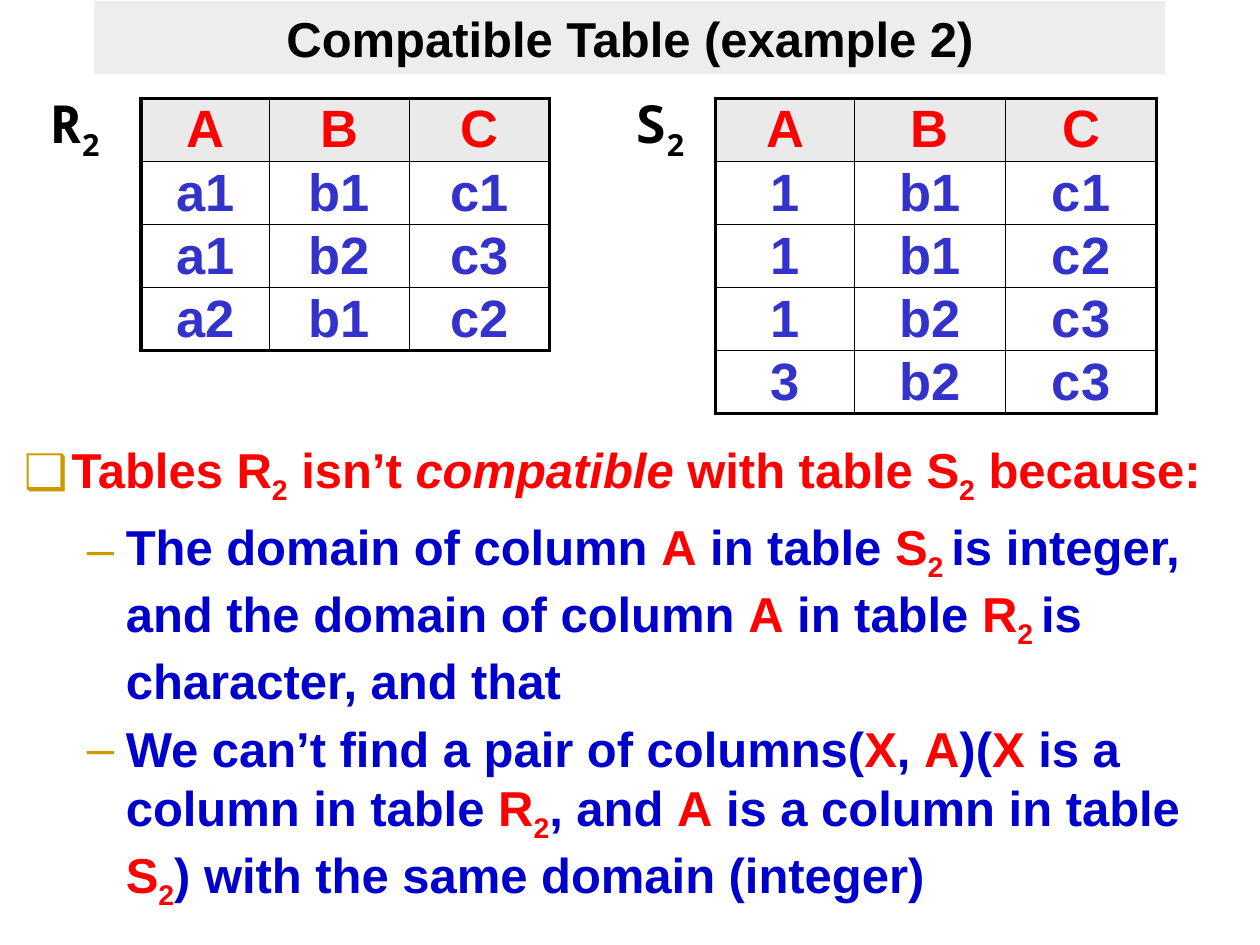
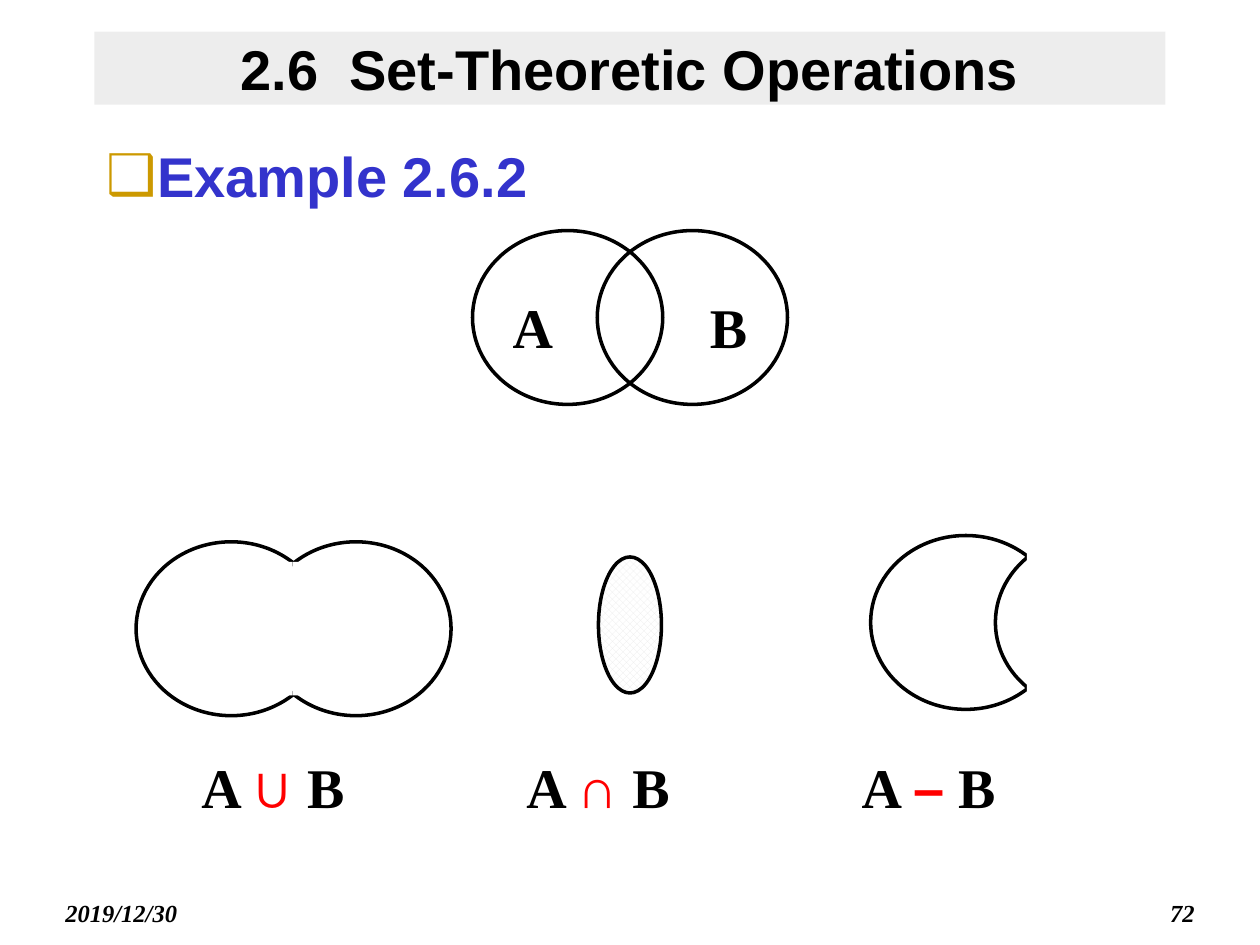
from lxml import etree
from pptx import Presentation
from pptx.dml.color import RGBColor
from pptx.enum import dml, shapes, text
from pptx.oxml.ns import qn
from pptx.util import Inches, Pt

BLACK, WHITE, RED = "000000", "FFFFFF", "FF0000"
BLUE, NAVY, GOLD = "3333CC", "0000CC", "CC9900"
BAND, HEADER, PATTERN = "DDDDDD", "EAEAEA", "EAEAEA"
SANS, SERIF, MONO = "Arial", "Times New Roman", "Noto Sans Mono"
LEFT, CENTER, RIGHT = text.PP_ALIGN.LEFT, text.PP_ALIGN.CENTER, text.PP_ALIGN.RIGHT
RECTANGLE, OVAL = shapes.MSO_SHAPE.RECTANGLE, shapes.MSO_SHAPE.OVAL

# Bullet levels: character, left margin, hanging indent
SQUARE = ("❑", 0.38, -0.38)
DASH = ("–", 0.81, -0.31)

# Table name, label left, table left, column widths, rows
TABLES = [
    ("R", 0.3, 1.12, (1.02, 1.11, 1.11),
     ["A B C", "a1 b1 c1", "a1 b2 c3", "a2 b1 c2"]),
    ("S", 4.94, 5.68, (1.1, 1.2, 1.2),
     ["A B C", "1 b1 c1", "1 b1 c2", "1 b2 c3", "3 b2 c3"]),
]
TABLE_TOP, ROW_HEIGHT = 0.78, 0.5

# Runs: text, colour, optional style
REASONS = [
    (SQUARE, [("Tables R", RED), ("2", RED, "sub"), (" isn’t ", RED),
              ("compatible", RED, "italic"), (" with table S", RED),
              ("2", RED, "sub"), (" because:", RED)]),
    (DASH, [("The domain of column ", NAVY), ("A", RED), (" in table ", NAVY),
            ("S", RED), ("2 ", RED, "sub"),
            ("is integer, and the domain of column ", NAVY), ("A", RED),
            (" in table ", NAVY), ("R", RED), ("2 ", RED, "sub"),
            ("is character, and that", NAVY)]),
    (DASH, [("We can’t find a pair of columns(", NAVY), ("X", RED), (", ", NAVY),
            ("A", RED), (")(", NAVY), ("X", RED),
            (" is a column in table ", NAVY), ("R", RED), ("2", RED, "sub"),
            (", and ", NAVY), ("A", RED), (" is a column in table ", NAVY),
            ("S", RED), ("2", RED, "sub"),
            (") with the same domain (integer)", NAVY)]),
]

# Operator, label left
OPERATIONS = [("∪", 1.5), ("∩", 4.08), ("–", 6.74)]
CIRCLE_SIZE, CIRCLE_STEP = (1.51, 1.38), 0.99
FOOTERS = [("2019/12/30", 0.42, LEFT), ("72", 7.5, RIGHT)]


def rgb(value):
    return RGBColor.from_string(value)


def add_run(paragraph, content, color, size, font=SANS, style=""):
    run = paragraph.add_run()
    run.text = content
    run.font.name, run.font.size, run.font.bold = font, Pt(size), True
    run.font.color.rgb = rgb(color)
    if "italic" in style:
        run.font.italic = True
    if "sub" in style:
        run.font._element.set("baseline", "-25000")


def set_bullet(paragraph, bullet):
    character, margin, indent = bullet
    properties = paragraph._p.get_or_add_pPr()
    properties.set("marL", str(Inches(margin)))
    properties.set("indent", str(Inches(indent)))
    color = etree.SubElement(properties, qn("a:buClr"))
    etree.SubElement(color, qn("a:srgbClr"), val=GOLD)
    etree.SubElement(properties, qn("a:buFont"), typeface=SANS)
    etree.SubElement(properties, qn("a:buChar"), char=character)


def set_frame(shape, margins=(0.1, 0.05, 0.1, 0.05), align=LEFT,
              anchor=text.MSO_ANCHOR.TOP):
    """Lay out the text of a shape and return its first paragraph."""
    frame = shape.text_frame
    frame.word_wrap = True
    frame.vertical_anchor = anchor
    (frame.margin_left, frame.margin_top,
     frame.margin_right, frame.margin_bottom) = map(Inches, margins)
    paragraph = frame.paragraphs[0]
    paragraph.alignment = align
    return paragraph


def add_box(slide, left, top, width, height, **layout):
    box = slide.shapes.add_textbox(*map(Inches, (left, top, width, height)))
    return box, set_frame(box, **layout)


def add_figure(slide, kind, left, top, width, height, fill=WHITE, line=None):
    shape = slide.shapes.add_shape(kind, *map(Inches, (left, top, width, height)))
    shape.shadow.inherit = False
    if fill:
        shape.fill.solid()
        shape.fill.fore_color.rgb = rgb(fill)
    else:
        shape.fill.background()
    if line:
        shape.line.color.rgb = rgb(line)
        shape.line.width = Pt(2)
    else:
        shape.line.fill.background()
    return shape


def add_title(slide, title, top, size):
    band = add_figure(slide, RECTANGLE, 0.75, top, 8.5, 0.58, BAND)
    color = band.fill._xPr.find(".//" + qn("a:srgbClr"))
    etree.SubElement(color, qn("a:alpha"), val="50000")
    paragraph = set_frame(band, align=CENTER, anchor=text.MSO_ANCHOR.MIDDLE)
    add_run(paragraph, title, BLACK, size)


def set_borders(cell, widths):
    properties = cell._tc.get_or_add_tcPr()
    for position, (side, width) in enumerate(widths.items()):
        line = etree.Element(qn("a:ln" + side), w=str(Pt(width)))
        fill = etree.SubElement(line, qn("a:solidFill"))
        etree.SubElement(fill, qn("a:srgbClr"), val=BLACK)
        properties.insert(position, line)


def add_relation(slide, name, label_left, left, widths, rows):
    frame = slide.shapes.add_table(
        len(rows), len(widths), Inches(left), Inches(TABLE_TOP),
        Inches(sum(widths)), Inches(ROW_HEIGHT * len(rows)))
    table = frame.table
    for column, width in zip(table.columns, widths):
        column.width = Inches(width)
    last_row, last_column = len(rows) - 1, len(widths) - 1
    for i, row in enumerate(rows):
        table.rows[i].height = Inches(ROW_HEIGHT)
        for j, value in enumerate(row.split()):
            cell = table.cell(i, j)
            cell.fill.solid()
            cell.fill.fore_color.rgb = rgb(WHITE if i else HEADER)
            cell.vertical_anchor = text.MSO_ANCHOR.MIDDLE
            cell.margin_left = cell.margin_right = Inches(0.1)
            cell.margin_top = cell.margin_bottom = 0
            paragraph = cell.text_frame.paragraphs[0]
            paragraph.alignment = CENTER
            add_run(paragraph, value, BLUE if i else RED, 30)
            outer = {"L": j == 0, "R": j == last_column,
                     "T": i == 0, "B": i == last_row}
            set_borders(cell, {side: 2.25 if edge else 1
                               for side, edge in outer.items()})
    label, paragraph = add_box(slide, label_left, 0.72, 0.83, 0.54,
                               margins=(0.1, 0, 0.1, 0))
    add_run(paragraph, name, BLACK, 30, MONO)
    add_run(paragraph, "2", BLACK, 30, MONO, "sub")


def add_circles(slide, left, top, fill=WHITE):
    return [add_figure(slide, OVAL, left + step, top, *CIRCLE_SIZE, fill, BLACK)
            for step in (0, CIRCLE_STEP)]


def build_compatible_tables(slide):
    add_title(slide, "Compatible Table (example 2)", 0.01, 28)
    body, paragraph = add_box(slide, 0.09, 3.44, 9.88, 4.06)
    body.fill.solid()
    body.fill.fore_color.rgb = rgb(WHITE)
    for index, (bullet, runs) in enumerate(REASONS):
        if index:
            paragraph = body.text_frame.add_paragraph()
        set_bullet(paragraph, bullet)
        if index:
            paragraph.space_before = Pt(5.6)
        for content, color, *style in runs:
            add_run(paragraph, content, color, 28, SANS, style)
    for relation in TABLES:
        add_relation(slide, *relation)


def build_set_operations(slide):
    for content, left, align in FOOTERS:
        footer, paragraph = add_box(slide, left, 7.08, 2.08, 0.33, align=align)
        add_run(paragraph, content, BLACK, 14, SERIF, "italic")
    add_title(slide, "2.6  Set-Theoretic Operations", 0.25, 32)
    body, paragraph = add_box(slide, 0.75, 1.07, 8.5, 0.71)
    set_bullet(paragraph, SQUARE)
    add_run(paragraph, "Example 2.6.2", BLUE, 32)

    named_sets = add_circles(slide, 3.75, 1.83, fill=None)
    for circle, name, align in zip(named_sets, "AB", (LEFT, RIGHT)):
        paragraph = set_frame(circle, (0.1, 0.29, 0.1, 0), align)
        add_run(paragraph, name, BLACK, 32, SERIF)

    intersection = add_figure(slide, OVAL, 4.75, 4.42, 0.5, 1.08, line=BLACK)
    intersection.fill.patterned()
    intersection.fill.pattern = dml.MSO_PATTERN.OUTLINED_DIAMOND
    intersection.fill.fore_color.rgb = rgb(PATTERN)
    intersection.fill.back_color.rgb = rgb(WHITE)

    # White covers hide the arcs that are not part of the result
    add_circles(slide, 6.91, 4.25)
    add_figure(slide, RECTANGLE, 8.15, 4.02, 1.33, 1.7)
    add_circles(slide, 1.08, 4.3)
    for left, width in ((1.75, 0.57), (2.32, 0.63)):
        add_figure(slide, RECTANGLE, left, 4.46, width, 1.06)

    for operator, left in OPERATIONS:
        label, paragraph = add_box(slide, left, 5.92, 1.83, 0.5)
        add_run(paragraph, "A ", BLACK, 32, SERIF)
        add_run(paragraph, operator, RED, 32)
        add_run(paragraph, " B", BLACK, 32, SERIF)


def main():
    presentation = Presentation()
    presentation.slide_width, presentation.slide_height = Inches(10), Inches(7.5)
    blank = presentation.slide_layouts[6]
    for build in (build_compatible_tables, build_set_operations):
        build(presentation.slides.add_slide(blank))
    presentation.save("out.pptx")


if __name__ == "__main__":
    main()
